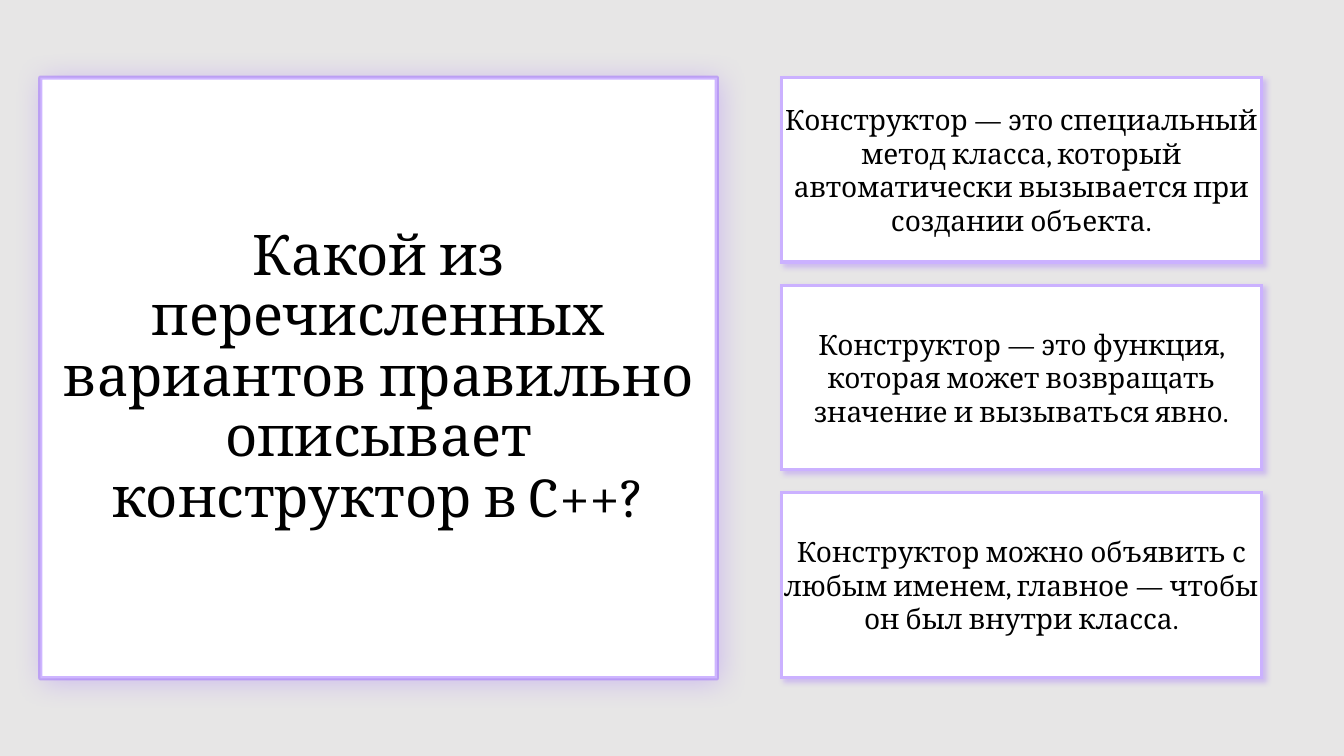
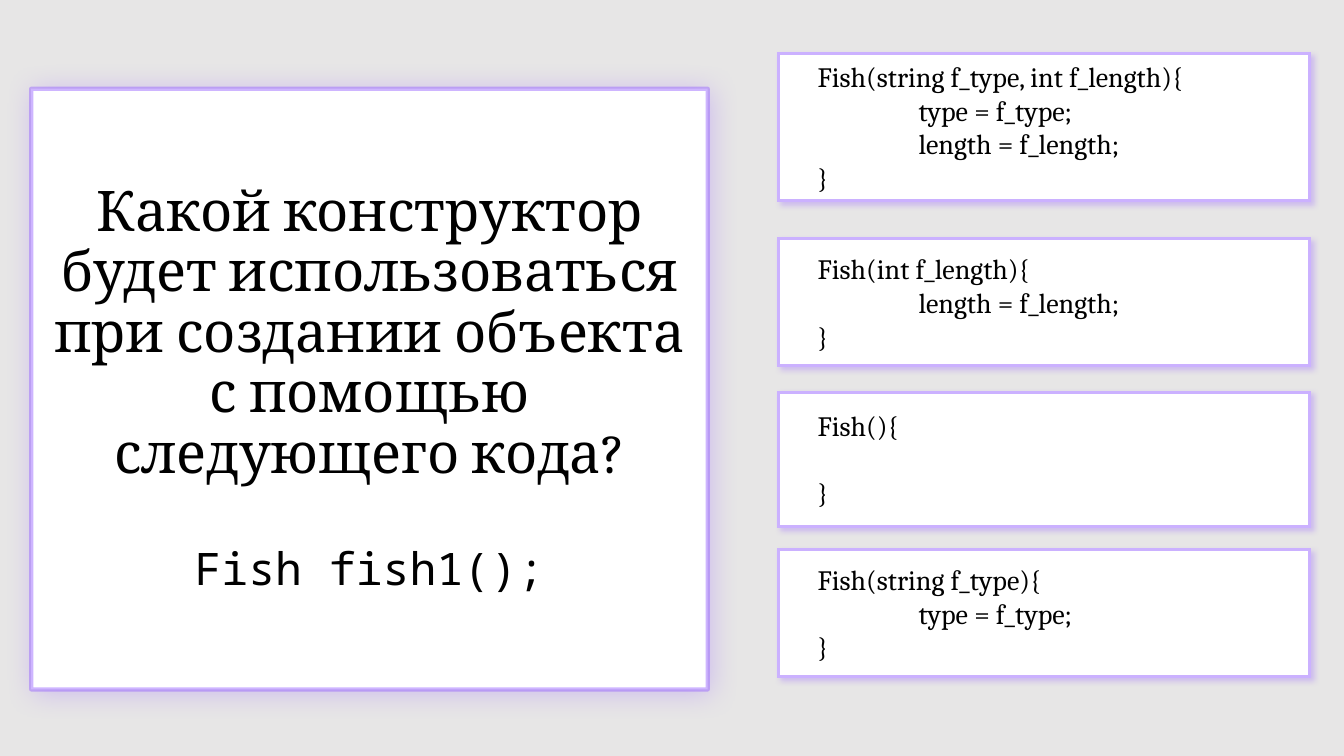
from dataclasses import dataclass

from lxml.etree import SubElement
from pptx import Presentation
from pptx.dml.color import RGBColor
from pptx.enum.shapes import MSO_SHAPE
from pptx.enum.text import MSO_ANCHOR, MSO_AUTO_SIZE, PP_ALIGN
from pptx.oxml.ns import qn
from pptx.presentation import Presentation as Deck
from pptx.shapes.base import BaseShape
from pptx.slide import Slide
from pptx.text.text import _Paragraph as Paragraph
from pptx.util import Inches, Pt


@dataclass(frozen=True)
class Theme:
    background: RGBColor = RGBColor(0xE7, 0xE6, 0xE6)
    panel: RGBColor = RGBColor(0xFF, 0xFF, 0xFF)
    text: RGBColor = RGBColor(0, 0, 0)
    accent: RGBColor = RGBColor(0x99, 0x66, 0xFF)
    border: RGBColor = RGBColor(0xCB, 0xB1, 0xFF)
    font: str = "Cambria"
    code_font: str = "Noto Sans Mono"
    question_size: int = 40
    code_size: int = 32
    answer_size: int = 20


THEME = Theme()


@dataclass(frozen=True)
class Line:
    text: str
    indent: float = 0
    space_before: int = 0


@dataclass(frozen=True)
class Answer:
    top: float
    height: float
    lines: list[Line]


@dataclass(frozen=True)
class Quiz:
    question: str
    question_left: float
    question_top: float
    answers: list[Answer]
    answer_left: float
    answer_width: float
    answer_inset: float = 0
    align: PP_ALIGN = PP_ALIGN.LEFT
    code: str = ""


DEFINITIONS = [
    "Конструктор — это специальный метод класса, который автоматически вызывается при создании объекта.",
    "Конструктор — это функция, которая может возвращать значение и вызываться явно.",
    "Конструктор можно объявить с любым именем, главное — чтобы он был внутри класса.",
]
SET_TYPE = Line("type = f_type;", indent=1)
SET_LENGTH = Line("length = f_length;", indent=1)
END = Line("}")

QUIZZES = [
    Quiz(
        question="Какой из перечисленных вариантов правильно описывает конструктор в C++?",
        question_left=0.4,
        question_top=0.77,
        answers=[
            Answer(0.77 + 2.06 * row, 1.83, [Line(text)])
            for row, text in enumerate(DEFINITIONS)
        ],
        answer_left=7.75,
        answer_width=4.76,
        align=PP_ALIGN.CENTER,
    ),
    Quiz(
        question="Какой конструктор будет использоваться при создании объекта "
        "с помощью следующего кода?",
        question_left=0.31,
        question_top=0.88,
        answers=[
            Answer(0.53, 1.46, [Line("Fish(string f_type, int f_length){"),
                                SET_TYPE, SET_LENGTH, END]),
            Answer(2.37, 1.26, [Line("Fish(int f_length){"), SET_LENGTH, END]),
            Answer(3.89, 1.33, [Line("Fish(){"), Line("}", space_before=24)]),
            Answer(5.45, 1.26, [Line("Fish(string f_type){"), SET_TYPE, END]),
        ],
        answer_left=7.72,
        answer_width=5.27,
        answer_inset=0.39,
        code="Fish fish1();",
    ),
]


def add_alpha(color_element, percent: int) -> None:
    SubElement(color_element, qn("a:alpha"), val=str(percent * 1000))


def style_panel(
    panel: BaseShape, line_color: RGBColor, line_width: float, shadow_alpha: int, blur: int
) -> None:
    """Give a panel its white fill, violet outline and soft shadow."""
    panel.fill.solid()
    panel.fill.fore_color.rgb = THEME.panel
    panel.line.color.rgb = line_color
    panel.line.width = Pt(line_width)
    panel.shadow.inherit = False
    effects = panel._element.spPr.find(qn("a:effectLst"))
    shadow = SubElement(
        effects, qn("a:outerShdw"), blurRad=str(Pt(blur)), dist=str(Pt(3)),
        dir=str(45 * 60000), algn="tl", rotWithShape="0",
    )
    add_alpha(SubElement(shadow, qn("a:srgbClr"), val=str(THEME.accent)), shadow_alpha)


def format_paragraph(para: Paragraph, font: str, size: int, align: PP_ALIGN) -> None:
    para.alignment = align
    for span in para.runs:
        span.font.name = font
        span.font.size = Pt(size)
        span.font.color.rgb = THEME.text


def add_question(slide: Slide, quiz: Quiz) -> None:
    title = slide.shapes.title
    title.left, title.top = Inches(quiz.question_left), Inches(quiz.question_top)
    title.width, title.height = Inches(6.71), Inches(5.96)
    style_panel(title, THEME.accent, 3, shadow_alpha=34, blur=20)
    outline = title._element.spPr.find(qn("a:ln"))
    add_alpha(outline.find(".//" + qn("a:srgbClr")), 47)

    frame = title.text_frame
    frame.auto_size = MSO_AUTO_SIZE.NONE
    frame.word_wrap = True
    frame.vertical_anchor = MSO_ANCHOR.MIDDLE
    frame.text = quiz.question
    format_paragraph(frame.paragraphs[0], THEME.font, THEME.question_size, PP_ALIGN.CENTER)
    if quiz.code:
        para = frame.add_paragraph()
        para.text = quiz.code
        para.space_before = Pt(44)
        format_paragraph(para, THEME.code_font, THEME.code_size, PP_ALIGN.CENTER)
    for para in frame.paragraphs:
        para.line_spacing = 0.9


def add_answer(slide: Slide, quiz: Quiz, answer: Answer) -> None:
    box = slide.shapes.add_shape(
        MSO_SHAPE.RECTANGLE, Inches(quiz.answer_left), Inches(answer.top),
        Inches(quiz.answer_width), Inches(answer.height),
    )
    style_panel(box, THEME.border, 2.25, shadow_alpha=32, blur=4)
    SubElement(box._element.spPr.find(qn("a:ln")), qn("a:miter"), lim="800000")

    frame = box.text_frame
    frame.word_wrap = True
    frame.vertical_anchor = MSO_ANCHOR.MIDDLE
    frame.margin_left = Inches(quiz.answer_inset)
    frame.margin_top = frame.margin_right = frame.margin_bottom = 0
    frame.text = "\n".join(line.text for line in answer.lines)
    for para, line in zip(frame.paragraphs, answer.lines):
        format_paragraph(para, THEME.font, THEME.answer_size, quiz.align)
        para.space_before = Pt(line.space_before)
        if line.indent:
            para._p.get_or_add_pPr().set("marL", str(Inches(line.indent)))


def add_quiz(deck: Deck, quiz: Quiz) -> None:
    slide = deck.slides.add_slide(deck.slide_layouts.get_by_name("Title Only"))
    add_question(slide, quiz)
    for answer in quiz.answers:
        add_answer(slide, quiz, answer)


def main() -> None:
    deck = Presentation()
    deck.slide_width, deck.slide_height = Inches(13.33), Inches(7.5)
    background = deck.slide_master.background.fill
    background.solid()
    background.fore_color.rgb = THEME.background
    for quiz in QUIZZES:
        add_quiz(deck, quiz)
    deck.save("out.pptx")


if __name__ == "__main__":
    main()
